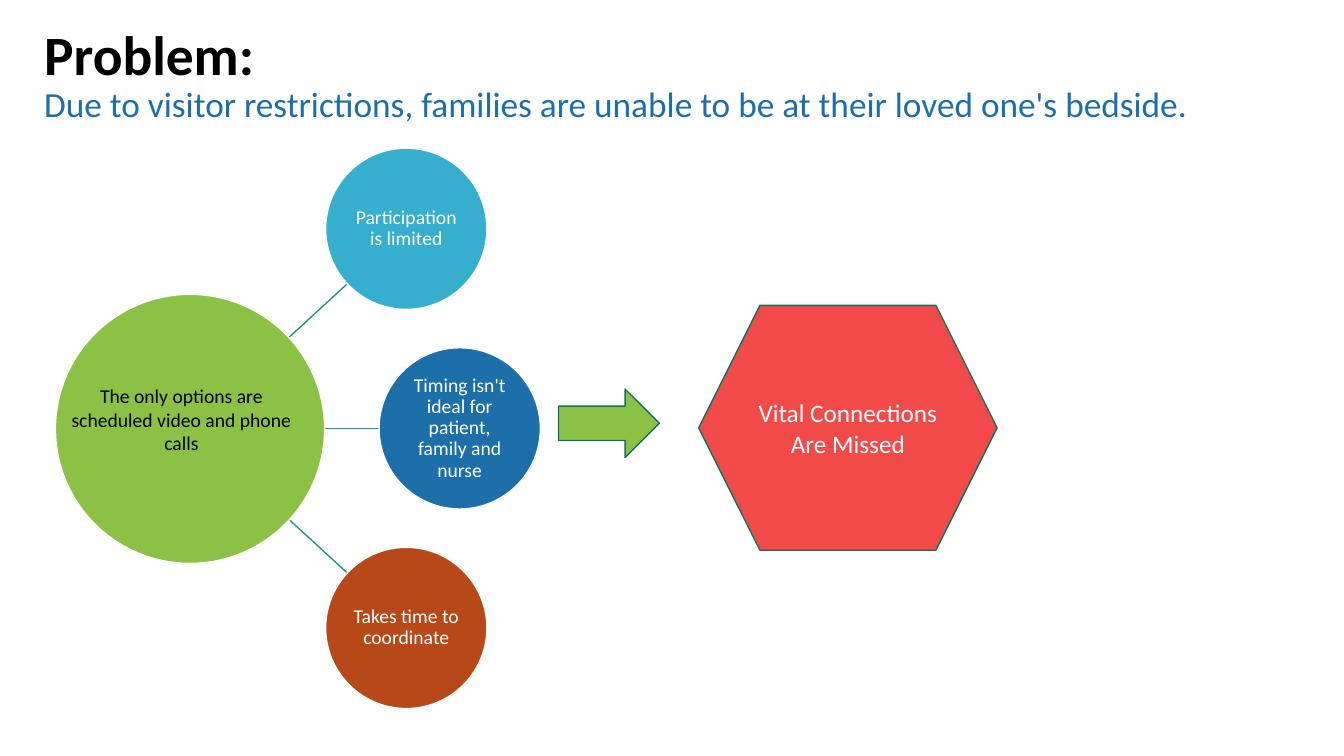
from lxml import etree
from pptx import Presentation
from pptx.dml.color import RGBColor
from pptx.enum.shapes import MSO_CONNECTOR, MSO_SHAPE
from pptx.enum.text import MSO_ANCHOR, PP_ALIGN
from pptx.oxml.ns import qn
from pptx.util import Emu, Pt

STRAIGHT = MSO_CONNECTOR.STRAIGHT
ELLIPSE, ARROW, HEXAGON = MSO_SHAPE.OVAL, MSO_SHAPE.RIGHT_ARROW, MSO_SHAPE.HEXAGON
TOP, MIDDLE = MSO_ANCHOR.TOP, MSO_ANCHOR.MIDDLE
LEFT, CENTER = PP_ALIGN.LEFT, PP_ALIGN.CENTER

EMU_PER_PX = 9144  # 100 px to the inch
FONT = "Calibri"
COLORS = {
    "black": "000000",
    "white": "FFFFFF",
    "green": "8BC145",
    "cyan": "36AFCE",
    "blue": "1D6FA9",
    "rust": "B74919",
    "red": "F24949",
    "spoke": "1D9A78",
    "outline": "157259",
}

# Problems around the hub: text, left edge, fill
PROBLEMS = [
    ("Participation is limited", 323, "cyan"),
    ("Timing isn't ideal for patient, family and nurse", 376, "blue"),
    ("Takes time to coordinate", 323, "rust"),
]
PROBLEM_SIZE, PROBLEM_TOP, PROBLEM_STEP = 160, 147, 198
SPOKES = [(282, 339, 344, 282), (282, 425, 376, 425), (282, 511, 344, 568)]


def px(*lengths):
    return [Emu(length * EMU_PER_PX) for length in lengths]


def color(name):
    return RGBColor.from_string(COLORS[name])


def style_span(span, size, name, bold=False):
    span.font.name = FONT
    span.font.size = Pt(size)
    span.font.bold = bold
    span.font.color.rgb = color(name)


def write(box, text, styles, align=CENTER, anchor=MIDDLE, spacing=1.0):
    """Fill a box with one paragraph; styles holds one entry per line of text."""
    frame = box.text_frame
    frame.word_wrap = True
    frame.vertical_anchor = anchor
    frame.text = text
    para = frame.paragraphs[0]
    para.alignment = align
    para.line_spacing = spacing
    for span, style in zip(para.runs, styles):
        style_span(span, *style)


def add_text(page, bounds, text, styles, **layout):
    box = page.shapes.add_textbox(*px(*bounds))
    write(box, text, styles, **layout)


def add_figure(page, kind, bounds, fill, line):
    shape = page.shapes.add_shape(kind, *px(*bounds))
    shape.shadow.inherit = False
    shape.fill.solid()
    shape.fill.fore_color.rgb = color(fill)
    shape.line.color.rgb = color(line)
    shape.line.width = Pt(1)
    return shape


def add_spoke(page, ends):
    spoke = page.shapes.add_connector(STRAIGHT, *px(*ends))
    spoke.line.color.rgb = color("spoke")
    spoke.line.width = Pt(1)
    etree.SubElement(spoke._element.spPr, qn("a:effectLst"))


def add_problem(page, text, bounds, fill):
    circle = add_figure(page, ELLIPSE, bounds, fill, "white")
    frame = circle.text_frame
    frame.margin_left, frame.margin_top, frame.margin_right, frame.margin_bottom = px(1, 1, 1, 1)
    write(circle, text, [(14, "white")], spacing=0.9)


def main():
    deck = Presentation()
    deck.slide_width, deck.slide_height = px(1333, 750)
    page = deck.slides.add_slide(deck.slide_layouts[6])

    # Title and subtitle
    add_text(
        page, (34, 18, 1207, 115),
        "Problem:\vDue to visitor restrictions, families are unable to be at their loved one's bedside.",
        [(39.6, "black", True), (25.2, "blue")],
        align=LEFT, spacing=0.9,
    )

    # Hub with its problems
    for ends in SPOKES:
        add_spoke(page, ends)
    add_figure(page, ELLIPSE, (55, 292, 267, 267), "green", "white")
    for index, (text, left, fill) in enumerate(PROBLEMS):
        top = PROBLEM_TOP + index * PROBLEM_STEP
        add_problem(page, text, (left, top, PROBLEM_SIZE, PROBLEM_SIZE), fill)
    add_text(
        page, (57, 376, 246, 88),
        "The only options are scheduled video and phone calls",
        [(14, "black")], anchor=TOP,
    )

    # Consequence
    add_figure(page, ARROW, (554, 386, 100, 68), "green", "outline")
    consequence = add_figure(page, HEXAGON, (693, 303, 296, 243), "red", "outline")
    write(consequence, "Vital Connections Are Missed", [(18, "white")])

    deck.save("out.pptx")


if __name__ == "__main__":
    main()
